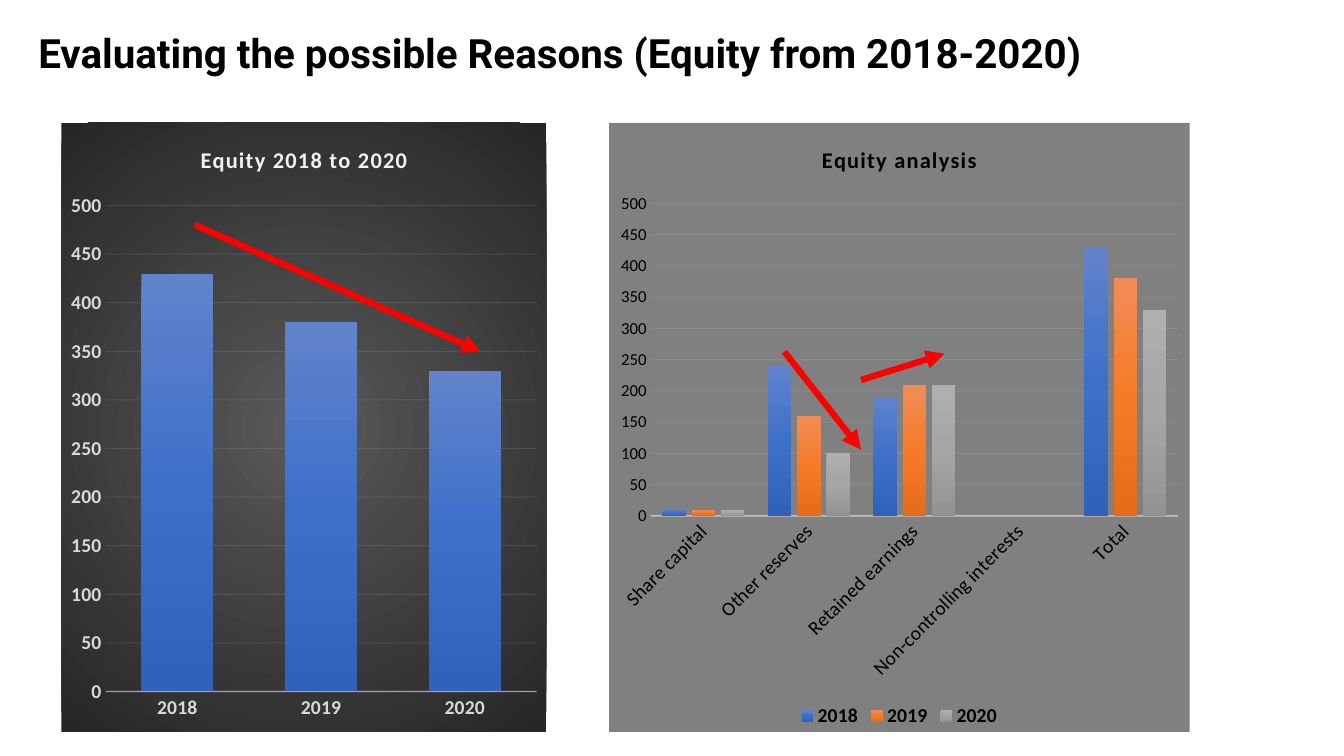
from lxml import etree
from pptx import Presentation
from pptx.chart.data import CategoryChartData
from pptx.dml.color import RGBColor
from pptx.enum import chart as ch, shapes, text
from pptx.oxml import parse_xml
from pptx.oxml.ns import nsdecls, qn
from pptx.util import Inches, Pt

TITLE = "Evaluating the possible Reasons (Equity from 2018-2020)"
COLORS = {"black": "000000", "grey": "808080", "pale": "F2F2F2",
          "label": "D9D9D9", "arrow": "FF0000"}
BAR_GRADIENTS = [("6183CB", "3E70CA", "3062BB"),
                 ("F18C57", "F67B28", "E56C19"),
                 ("AFAFAF", "A5A5A5", "939393")]
DARK_GRADIENT = ("595959", "262626")

CHARTS = [
    {"title": "Equity analysis", "box": (6.04, 1.22, 5.76, 6.04),
     "categories": ["Share capital", "Other reserves", "Retained earnings",
                    "Non-controlling interests", "Total"],
     "series": [("2018", (10, 240, 190, 0, 430)),
                ("2019", (10, 160, 210, 0, 380)),
                ("2020", (10, 100, 210, 0, 330))],
     "title_color": "black", "label_color": "black", "bold": False,
     "value_size": 12, "label_angle": -45, "legend": True, "dark": False},
    {"title": "Equity 2018 to 2020", "box": (0.61, 1.22, 4.81, 6.04),
     "categories": ["2018", "2019", "2020"],
     "series": [("Series 1", (430, 380, 330))],
     "title_color": "pale", "label_color": "label", "bold": True,
     "value_size": 14, "label_angle": 0, "legend": False, "dark": True},
]
ARROWS = [((7.78, 3.49), (8.54, 4.46)),
          ((8.54, 3.77), (9.37, 3.51)),
          ((1.93, 2.23), (4.77, 3.49))]


def rgb(name):
    return RGBColor.from_string(COLORS[name])


def set_font(font, size, color, bold, name="Calibri"):
    font.name, font.size, font.bold = name, Pt(size), bold
    font.color.rgb = rgb(color)


def gradient(stops, radial=False):
    """Return a gradFill element with evenly spaced stops."""
    step = 100000 // (len(stops) - 1)
    gs = "".join(f'<a:gs pos="{i * step}"><a:srgbClr val="{c}"/></a:gs>'
                 for i, c in enumerate(stops))
    kind = ('<a:path path="circle"><a:fillToRect l="50000" t="50000" r="50000" '
            'b="50000"/></a:path>' if radial else '<a:lin ang="5400000" scaled="0"/>')
    return parse_xml(f'<a:gradFill {nsdecls("a")}><a:gsLst>{gs}</a:gsLst>{kind}</a:gradFill>')


def solid(color):
    return parse_xml(f'<a:solidFill {nsdecls("a")}>'
                     f'<a:srgbClr val="{COLORS[color]}"/></a:solidFill>')


def pale_line(line, width, opacity):
    line.width = Pt(width)
    line.color.rgb = rgb("pale")
    clr = next(line.fill._xPr.iter(qn("a:srgbClr")))
    etree.SubElement(clr, qn("a:alpha")).set("val", str(opacity * 1000))


def add_title(slide):
    sp = slide.shapes.title
    sp.left, sp.top, sp.width, sp.height = map(Inches, (0.28, 0.4, 12.77, 0.69))
    tf = sp.text_frame
    tf.word_wrap = True
    tf.vertical_anchor = text.MSO_ANCHOR.MIDDLE
    p = tf.paragraphs[0]
    p.alignment, p.line_spacing = text.PP_ALIGN.LEFT, 0.9
    r = p.add_run()
    r.text = TITLE
    set_font(r.font, 28.8, "black", True, "Roboto")
    p.add_line_break()
    etree.SubElement(p._p, qn("a:endParaRPr")).set("sz", "2400")


def fill_background(chart, dark):
    fill = gradient(DARK_GRADIENT, radial=True) if dark else solid("grey")
    sp_pr = parse_xml(f'<c:spPr {nsdecls("c", "a")}><a:ln><a:noFill/></a:ln></c:spPr>')
    sp_pr.insert(0, fill)
    chart._chartSpace.find(qn("c:chart")).addnext(sp_pr)


def style_axes(chart, item):
    cat, val = chart.category_axis, chart.value_axis
    for axis, size in ((cat, 14), (val, item["value_size"])):
        axis.major_tick_mark = axis.minor_tick_mark = ch.XL_TICK_MARK.NONE
        set_font(axis.tick_labels.font, size, item["label_color"], item["bold"])
    pale_line(cat.format.line, 1, 54)
    if item["label_angle"]:
        body = next(cat._element.iter(qn("a:bodyPr")))
        body.set("rot", str(item["label_angle"] * 60000))
        body.set("vert", "horz")
    val.minimum_scale, val.maximum_scale, val.major_unit = 0, 500, 50
    val.format.line.fill.background()
    val.has_major_gridlines = True
    pale_line(val.major_gridlines.format.line, 0.75, 10)


def add_equity_chart(slide, item):
    data = CategoryChartData()
    data.categories = item["categories"]
    for name, values in item["series"]:
        data.add_series(name, values)
    chart = slide.shapes.add_chart(ch.XL_CHART_TYPE.COLUMN_CLUSTERED,
                                   *map(Inches, item["box"]), data).chart
    set_font(chart.font, 10, "black", False)
    fill_background(chart, item["dark"])

    chart.has_title = True
    r = chart.chart_title.text_frame.paragraphs[0].add_run()
    r.text = item["title"]
    set_font(r.font, 16, item["title_color"], True)
    r.font._element.set("spc", "100")
    chart.chart_title.include_in_layout = False

    style_axes(chart, item)
    plot = chart.plots[0]
    plot.gap_width, plot.overlap, plot.vary_by_categories = 100, -24, False
    for series, stops in zip(plot.series, BAR_GRADIENTS):
        series.format.line.fill.background()
        series._element.find(qn("c:spPr")).insert(0, gradient(stops))

    chart.has_legend = item["legend"]
    if item["legend"]:
        chart.legend.position = ch.XL_LEGEND_POSITION.BOTTOM
        chart.legend.include_in_layout = False
        set_font(chart.legend.font, 14, "black", True)


def add_arrow(slide, start, end):
    line = slide.shapes.add_connector(shapes.MSO_CONNECTOR.STRAIGHT,
                                      *map(Inches, start + end))
    line.line.color.rgb = rgb("arrow")
    line.line.width = Pt(4.5)
    sp_pr = line._element.spPr
    etree.SubElement(sp_pr.find(qn("a:ln")), qn("a:tailEnd")).set("type", "triangle")
    etree.SubElement(sp_pr, qn("a:effectLst"))


def main():
    prs = Presentation()
    prs.slide_width, prs.slide_height = Inches(13.33), Inches(7.5)
    slide = prs.slides.add_slide(prs.slide_layouts[5])
    add_title(slide)
    for item in CHARTS:
        add_equity_chart(slide, item)
    for start, end in ARROWS:
        add_arrow(slide, start, end)
    prs.save("out.pptx")


if __name__ == "__main__":
    main()
